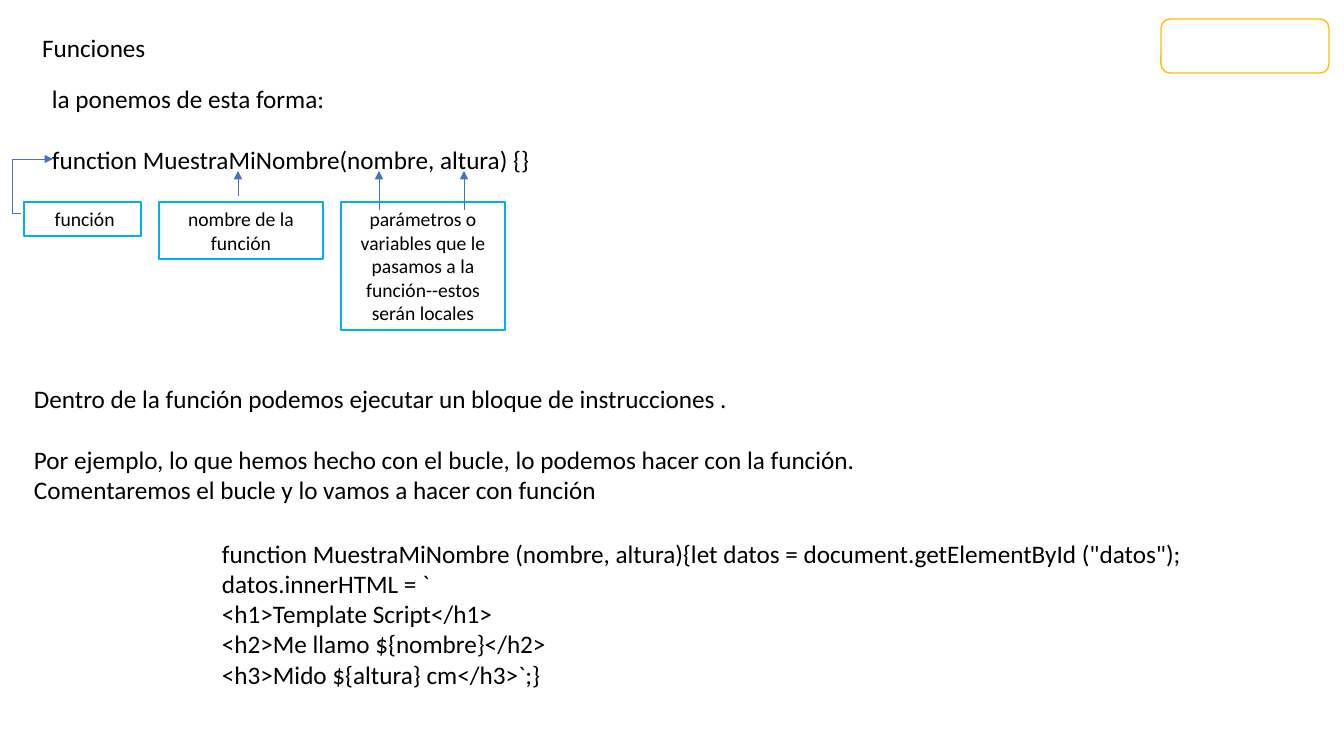
import pptx
import pptx.util
import pptx.dml.color
import pptx.enum.shapes
import pptx.enum.text
import pptx.oxml.ns
import lxml.etree

PX = 914400 / 100.8
FONT = "Calibri"
COLORS = {"text": "000000", "box": "00B0F0", "badge": "FFC000", "arrow": "4472C4"}
SHAPE = pptx.enum.shapes.MSO_SHAPE
CONNECTOR = pptx.enum.shapes.MSO_CONNECTOR
ALIGN = pptx.enum.text.PP_ALIGN


def px(*values):
    return [pptx.util.Emu(round(v * PX)) for v in values]


def color(name):
    return pptx.dml.color.RGBColor.from_string(COLORS[name])


class Deck:
    def __init__(self, width, height):
        self.prs = pptx.Presentation()
        self.prs.slide_width, self.prs.slide_height = px(width, height)
        self.s = self.prs.slides.add_slide(self.prs.slide_layouts[5])

    def add_lines(self, sp, lines, size=18, align=ALIGN.LEFT, gap_before=None):
        tf = sp.text_frame
        tf.word_wrap = True
        tf.auto_size = pptx.enum.text.MSO_AUTO_SIZE.SHAPE_TO_FIT_TEXT
        tf.vertical_anchor = pptx.enum.text.MSO_ANCHOR.TOP
        for i, line in enumerate(lines):
            p = tf.add_paragraph() if i else tf.paragraphs[0]
            p.alignment = align
            p.line_spacing = 1.0
            p.space_before = pptx.util.Pt(22 if i == gap_before else 0)
            r = p.add_run()
            r.text = line
            r.font.name = FONT
            r.font.size = pptx.util.Pt(size)
            r.font.color.rgb = color("text")

    def title(self, text, *at):
        sp = self.s.shapes.title
        sp.left, sp.top, sp.width, sp.height = px(*at)
        self.add_lines(sp, [text])

    def text(self, lines, *at, gap_before=None):
        self.add_lines(self.s.shapes.add_textbox(*px(*at)), lines, gap_before=gap_before)

    def outline(self, kind, line, *at):
        sp = self.s.shapes.add_shape(kind, *px(*at))
        sp.shadow.inherit = False
        sp.fill.background()
        sp.line.color.rgb = color(line)
        sp.line.width = pptx.util.Pt(1)
        return sp

    def label(self, text, *at):
        sp = self.outline(SHAPE.RECTANGLE, "box", *at)
        self.add_lines(sp, [text], size=14, align=ALIGN.CENTER)

    def arrow(self, *ends, kind=CONNECTOR.STRAIGHT, bend=None):
        c = self.s.shapes.add_connector(kind, *px(*ends))
        c.line.color.rgb = color("arrow")
        c.line.width = pptx.util.Pt(0.5)
        qn = pptx.oxml.ns.qn
        props = c.element.spPr
        lxml.etree.SubElement(props.find(qn("a:ln")), qn("a:tailEnd"), type="triangle")
        lxml.etree.SubElement(props, qn("a:effectLst"))
        if bend is not None:
            guides = props.find(qn("a:prstGeom")).find(qn("a:avLst"))
            lxml.etree.SubElement(guides, qn("a:gd"), name="adj1", fmla=f"val {bend}")


def main():
    d = Deck(1344, 756)

    # Heading and empty badge
    d.outline(SHAPE.ROUNDED_RECTANGLE, "badge", 1161, 19, 168, 54)
    d.title("Funciones", 32, 27, 358, 40)

    # Function signature
    d.text(["la ponemos de esta forma:",
            "function MuestraMiNombre(nombre, altura) {}"],
           42, 78, 1259, 101, gap_before=1)

    # Labels for the parts of the signature
    for text, left, width, height in [
        ("nombre de la función", 159, 164, 57),
        (" función", 24, 117, 34),
        ("parámetros o variables que le pasamos a la función--estos serán locales",
         341, 164, 128),
    ]:
        d.label(text, left, 202, width, height)

    # Explanation
    d.text(["Dentro de la función podemos ejecutar un bloque de instrucciones .",
            "Por ejemplo, lo que hemos hecho con el bucle, lo podemos hacer con la función.",
            "Comentaremos el bucle y lo vamos a hacer con función"],
           24, 378, 1259, 131, gap_before=1)

    # Arrows from the labels to the signature
    d.arrow(21, 213, 53, 159, kind=CONNECTOR.ELBOW, bend=-26500)
    for x, start in [(238, 196), (379, 210), (464, 210)]:
        d.arrow(x, start, x, 171)

    # Code example
    d.text(['function MuestraMiNombre (nombre, altura){let datos = document.getElementById ("datos");',
            "datos.innerHTML = `",
            "<h1>Template Script</h1>",
            "<h2>Me llamo ${nombre}</h2>",
            "<h3>Mido ${altura} cm</h3>`;}"],
           212, 533, 987, 161)

    d.prs.save("out.pptx")


if __name__ == "__main__":
    main()
